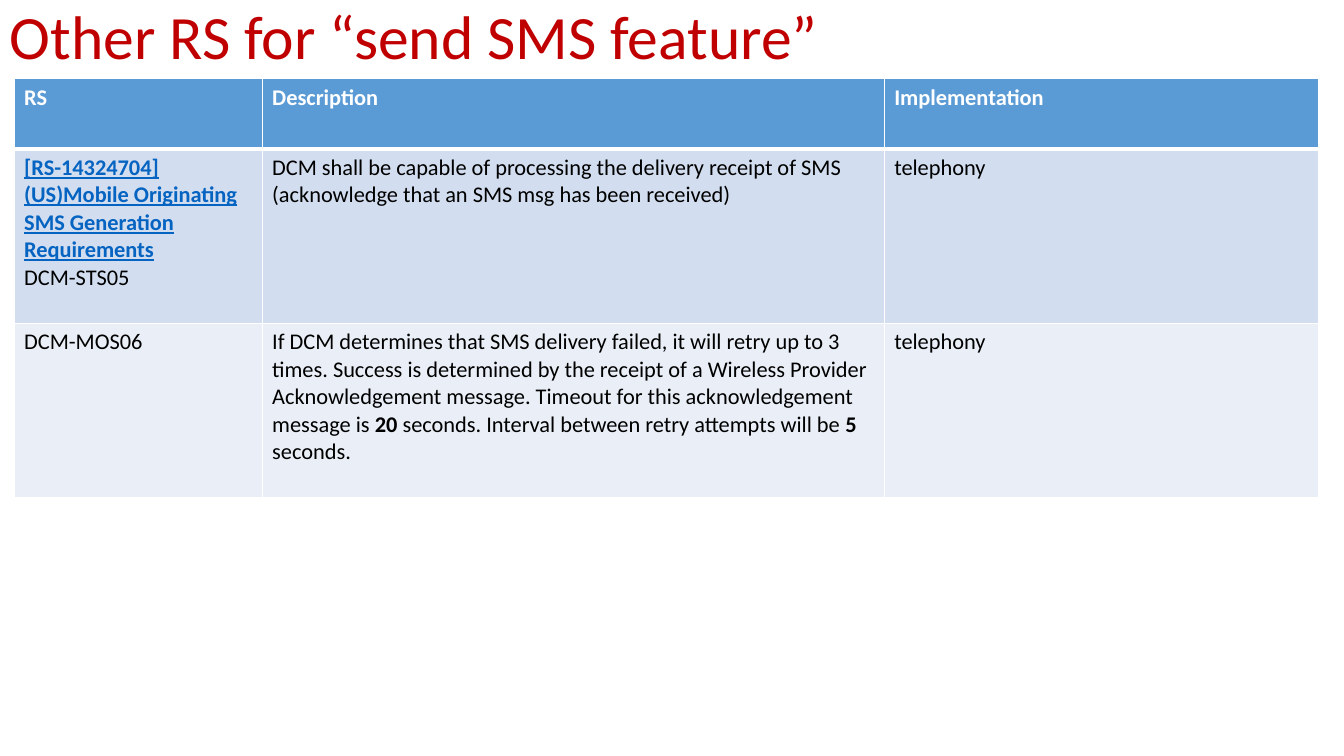
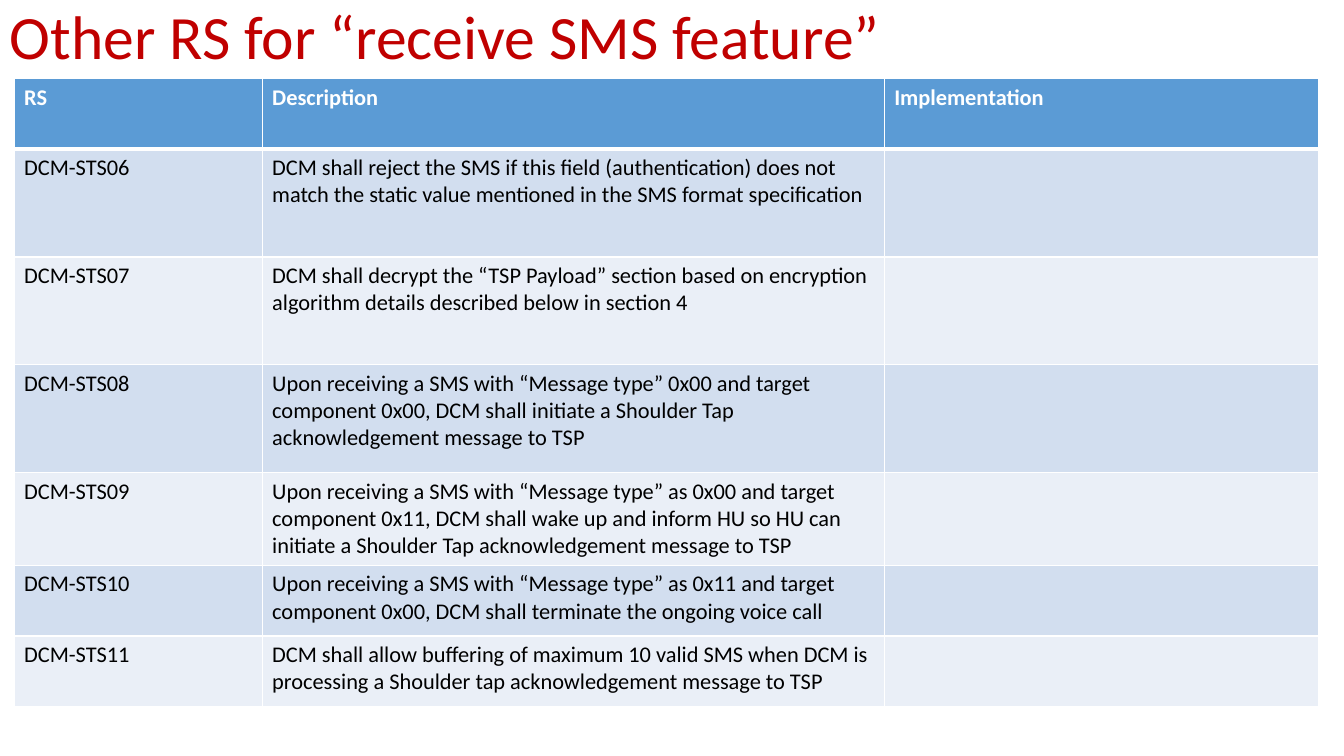
import pptx
import pptx.dml.color
import pptx.enum.text
import pptx.oxml
import pptx.oxml.ns
import pptx.util

Inches = pptx.util.Inches
Pt = pptx.util.Pt

RED, WHITE, BLACK, LINK = "C00000", "FFFFFF", "000000", "0563C1"
HEADER_FILL = "5B9BD5"
BAND_FILLS = ["D2DEEF", "EAEFF7"]
HEADERS = ["RS", "Description", "Implementation"]
COL_WIDTHS = [2.46, 6.17, 4.31]
HEADER_HEIGHT = 0.7
TITLE_HEIGHT = 0.78

BOLD = {"bold": True}
LINK_STYLE = {"bold": True, "underline": True, "color": LINK}

SLIDES = [
    ("Other RS for “send SMS feature”", [
        (1.73, [
            [[("[RS-14324704] (US)Mobile Originating SMS Generation Requirements", LINK_STYLE)],
             [("DCM-STS05", {})]],
            [[("DCM shall be capable of processing the delivery receipt of SMS", {})],
             [("(acknowledge that an SMS msg has been received)", {})]],
            [[("telephony", {})]],
        ]),
        (1.73, [
            [[("DCM-MOS06", {})]],
            [[("If DCM determines that SMS delivery failed, it will retry up to 3 times. "
               "Success is determined by the receipt of a Wireless Provider Acknowledgement "
               "message. Timeout for this acknowledgement message is ", {}),
              ("20", BOLD),
              (" seconds. Interval between retry attempts will be ", {}),
              ("5", BOLD),
              (" seconds.", {})]],
            [[("telephony", {})]],
        ]),
    ]),
    ("Other RS for “receive SMS feature”", [
        (height, [[[(code, {})]], [[(description, {})]], []])
        for height, code, description in [
            (1.07, "DCM-STS06",
             "DCM shall reject the SMS if this field (authentication) does not match "
             "the static value mentioned in the SMS format specification"),
            (1.07, "DCM-STS07",
             "DCM shall decrypt the “TSP Payload” section based on encryption algorithm "
             "details described below in section 4"),
            (1.07, "DCM-STS08",
             "Upon receiving a SMS with “Message type” 0x00 and target component 0x00, "
             "DCM shall initiate a Shoulder Tap acknowledgement message to TSP"),
            (0.92, "DCM-STS09",
             "Upon receiving a SMS with “Message type” as 0x00 and target component 0x11, "
             "DCM shall wake up and inform HU so HU can initiate a Shoulder Tap "
             "acknowledgement message to TSP"),
            (0.7, "DCM-STS10",
             "Upon receiving a SMS with “Message type” as 0x11 and target component 0x00, "
             "DCM shall terminate the ongoing voice call"),
            (0.7, "DCM-STS11",
             "DCM shall allow buffering of maximum 10 valid SMS when DCM is processing "
             "a Shoulder tap acknowledgement message to TSP"),
        ]
    ]),
]


def rgb(value):
    return pptx.dml.color.RGBColor.from_string(value)


def add_run(p, text, size, color, **style):
    r = p.add_run()
    r.text = text
    for name, value in {"name": "Calibri", "size": Pt(size), **style}.items():
        setattr(r.font, name, value)
    r.font.color.rgb = rgb(color)


prs = pptx.Presentation()
prs.slide_width, prs.slide_height = Inches(13.33), Inches(7.5)

for title, records in SLIDES:
    s = prs.slides.add_slide(prs.slide_layouts[6])

    tf = s.shapes.add_textbox(0, 0, prs.slide_width, Inches(TITLE_HEIGHT)).text_frame
    tf.word_wrap = True
    tf.vertical_anchor = pptx.enum.text.MSO_ANCHOR.MIDDLE
    tf.paragraphs[0].line_spacing = 0.9
    add_run(tf.paragraphs[0], title, 44, RED)

    header = [[[(text, {"bold": True, "color": WHITE})]] for text in HEADERS]
    rows = [(HEADER_HEIGHT, header)] + records
    height = sum(row_height for row_height, cells in rows)
    table = s.shapes.add_table(
        len(rows), len(HEADERS), Inches(0.14), Inches(TITLE_HEIGHT),
        Inches(sum(COL_WIDTHS)), Inches(height)).table
    for column, width in zip(table.columns, COL_WIDTHS):
        column.width = Inches(width)

    for i, (row_height, cells) in enumerate(rows):
        table.rows[i].height = Inches(row_height)
        for j, paragraphs in enumerate(cells):
            cell = table.cell(i, j)
            tcPr = cell._tc.get_or_add_tcPr()
            widths = {"L": 1, "R": 1, "T": 3 if i == 1 else 1, "B": 3 if i == 0 else 1}
            for side, width in widths.items():
                tcPr.append(pptx.oxml.parse_xml(
                    f'<a:ln{side} {pptx.oxml.ns.nsdecls("a")} w="{Pt(width)}">'
                    f'<a:solidFill><a:srgbClr val="{WHITE}"/></a:solidFill></a:ln{side}>'))
            cell.fill.solid()
            cell.fill.fore_color.rgb = rgb(BAND_FILLS[(i - 1) % 2] if i else HEADER_FILL)
            tf = cell.text_frame
            for k, runs in enumerate(paragraphs):
                p = tf.add_paragraph() if k else tf.paragraphs[0]
                for text, style in runs:
                    add_run(p, text, 16, **{"color": BLACK, "bold": False, **style})

prs.save("out.pptx")
